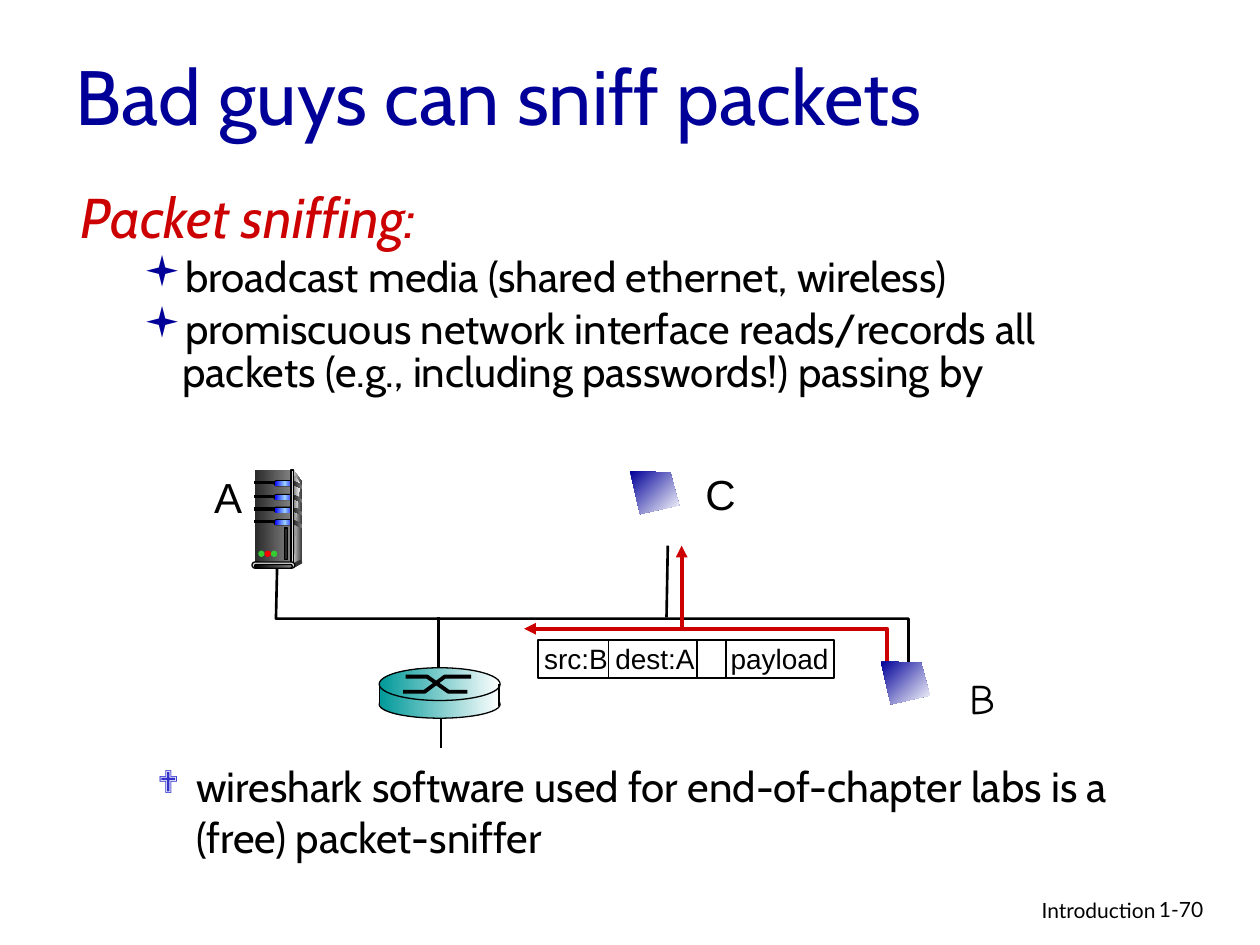
from lxml.etree import SubElement
from pptx import Presentation
from pptx.dml.color import RGBColor
from pptx.enum.shapes import MSO_CONNECTOR, MSO_SHAPE as Preset
from pptx.enum.text import MSO_ANCHOR as Anchor, PP_ALIGN as Align
from pptx.oxml.ns import qn
from pptx.util import Inches, Pt

BLACK = RGBColor(0, 0, 0)
WHITE = RGBColor(0xFF, 0xFF, 0xFF)
NAVY = RGBColor(0x00, 0x00, 0x99)
INDIGO = RGBColor(0x33, 0x33, 0xCC)
RED = RGBColor(0xCC, 0x00, 0x00)
TEAL = RGBColor(0x00, 0x99, 0x99)
BLUE = RGBColor(0x00, 0x00, 0xFF)
SKY = RGBColor(0x99, 0xCC, 0xFF)
LAMP_GREEN = RGBColor(0x33, 0xCC, 0x33)
LAMP_RED = RGBColor(0xFF, 0x00, 0x00)
CHARCOAL = RGBColor(0x29, 0x29, 0x29)
DARK = RGBColor(0x33, 0x33, 0x33)
GRAY = RGBColor(0x80, 0x80, 0x80)
SILVER = RGBColor(0xDD, 0xDD, 0xDD)
PALE = RGBColor(0xF8, 0xF8, 0xF8)

CASING = [CHARCOAL, GRAY]
GLOW = [BLUE, SKY, BLUE]
METAL = [TEAL, WHITE]


class SlideBuilder:
    heading_font = "Cabin"
    label_font = "Arial"
    footer_font = "Lato"

    def __init__(self, slide):
        self.slide = slide
        self.shapes = slide.shapes

    def start_group(self):
        self.shapes = self.slide.shapes.add_group_shape().shapes

    def end_group(self):
        self.shapes = self.slide.shapes

    def paint(self, shape, fill, line, width, angle=0):
        shape.shadow.inherit = False
        if fill is None:
            shape.fill.background()
        elif isinstance(fill, list):
            shape.fill.gradient()
            shape.fill.gradient_angle = angle
            stops = shape._element.spPr.find(qn("a:gradFill")).find(qn("a:gsLst"))
            stops.clear()
            for index, color in enumerate(fill):
                position = index * 100000 // (len(fill) - 1)
                stop = SubElement(stops, qn("a:gs"), pos=str(position))
                SubElement(stop, qn("a:srgbClr"), val=str(color))
        else:
            shape.fill.solid()
            shape.fill.fore_color.rgb = fill
        if line is None:
            shape.line.fill.background()
        else:
            self.stroke(shape, line, width)

    def stroke(self, shape, color, width, arrow=False):
        shape.line.color.rgb = color
        shape.line.width = Pt(width)
        if arrow:
            outline = shape._element.spPr.find(qn("a:ln"))
            SubElement(outline, qn("a:tailEnd"), type="triangle")

    def preset(self, kind, left, top, width, height, fill, line=None, weight=0.75):
        shape = self.shapes.add_shape(
            kind, Inches(left), Inches(top), Inches(width), Inches(height))
        if kind == Preset.ROUNDED_RECTANGLE:
            shape.adjustments[0] = 0.5
        self.paint(shape, fill, line, weight)

    def freeform(self, points, fill=None, line=None, weight=0.75, angle=0, arrow=False):
        corners = [(Inches(x), Inches(y)) for x, y in points]
        builder = self.shapes.build_freeform(*corners[0])
        builder.add_line_segments(corners[1:], close=fill is not None)
        shape = builder.convert_to_shape()
        self.paint(shape, fill, line, weight, angle)
        if arrow:
            self.stroke(shape, line, weight, True)

    def line(self, x1, y1, x2, y2, color=BLACK, weight=1.5, arrow=False):
        connector = self.shapes.add_connector(
            MSO_CONNECTOR.STRAIGHT, Inches(x1), Inches(y1), Inches(x2), Inches(y2))
        self.stroke(connector, color, weight, arrow)
        SubElement(connector._element.spPr, qn("a:effectLst"))

    def text(self, left, top, width, height, text, size, font,
             color=BLACK, align=Align.LEFT, wrap=True, anchor=Anchor.TOP):
        box = self.shapes.add_textbox(
            Inches(left), Inches(top), Inches(width), Inches(height))
        frame = box.text_frame
        frame.word_wrap = wrap
        frame.vertical_anchor = anchor
        frame.text = text
        for paragraph in frame.paragraphs:
            paragraph.alignment = align
            self.format(paragraph, size, font, color)
        return frame

    def format(self, paragraph, size, font, color, italic=False):
        for run in paragraph.runs:
            run.font.size = Pt(size)
            run.font.name = font
            run.font.color.rgb = color
            run.font.italic = italic

    def bullet(self, paragraph, mark, color, percent=100):
        properties = paragraph._p.get_or_add_pPr()
        properties.set("marL", str(Inches(0.81)))
        properties.set("indent", str(Inches(-0.31)))
        holder = SubElement(properties, qn("a:buClr"))
        SubElement(holder, qn("a:srgbClr"), val=str(color))
        SubElement(properties, qn("a:buSzPct"), val=str(percent * 1000))
        SubElement(properties, qn("a:buFont"), typeface="Wingdings")
        SubElement(properties, qn("a:buChar"), char=mark)

    def tab_stop(self, paragraph, position):
        tabs = SubElement(paragraph._p.get_or_add_pPr(), qn("a:tabLst"))
        SubElement(tabs, qn("a:tab"), pos=str(Inches(position)), algn="l")

    def screen(self, left, top):
        outline = [(0, 0), (0.32, 0.01), (0.39, 0.27), (0.08, 0.34)]
        self.freeform([(left + x, top + y) for x, y in outline], [NAVY, WHITE], angle=315)

    def server(self):
        pill, rect, dot = Preset.ROUNDED_RECTANGLE, Preset.RECTANGLE, Preset.OVAL
        self.start_group()
        self.freeform([(2.33, 3.73), (2.4, 3.83), (2.4, 4.45), (2.32, 4.48)], [SILVER, DARK])
        self.preset(rect, 2.02, 3.73, 0.29, 0.74, CASING)
        self.freeform([(2.33, 3.78), (2.35, 3.79), (2.38, 3.84), (2.35, 4.1), (2.33, 4.46)],
                      [GRAY, PALE])
        slots = (3.82, 3.93, 4.03, 4.13)
        for y in slots:
            self.preset(rect, 2.02, y, 0.17, 0.02, BLACK, BLACK)
            self.preset(pill, 2.17, y - 0.01, 0.16, 0.05, BLACK)
            self.preset(pill, 2.18, y, 0.16, 0.04, GLOW)
        self.preset(rect, 2.31, 3.73, 0.02, 0.74, [DARK, SILVER, DARK], BLACK)
        for y in slots:
            self.freeform([(2.33, y), (2.36, y + 0.01), (2.4, y + 0.04),
                           (2.4, y + 0.06), (2.33, y + 0.03)], CASING)
        self.freeform([(2.33, 4.47), (2.33, 4.51), (2.4, 4.47), (2.39, 4.44)], DARK)
        self.preset(pill, 2, 4.46, 0.34, 0.05, SILVER, BLACK)
        self.preset(pill, 2.02, 4.48, 0.3, 0.03, [BLACK, GRAY], BLACK)
        for index, color in enumerate((LAMP_GREEN, LAMP_RED, LAMP_GREEN)):
            self.preset(dot, 2.05 + index * 0.05, 4.37, 0.05, 0.05, color)
        self.preset(rect, 2.26, 4.19, 0.02, 0.25, CHARCOAL, BLACK)
        self.end_group()

    def router(self):
        self.start_group()
        self.preset(Preset.OVAL, 3.01, 5.48, 0.96, 0.22, METAL, BLACK)
        self.preset(Preset.RECTANGLE, 3.01, 5.46, 0.96, 0.14, METAL)
        self.preset(Preset.OVAL, 3.01, 5.3, 0.96, 0.26, METAL, BLACK)
        self.freeform([(3.2, 5.49), (3.37, 5.49), (3.53, 5.37), (3.74, 5.37)], None, BLACK, 2.25)
        self.freeform([(3.22, 5.37), (3.39, 5.37), (3.56, 5.49), (3.71, 5.49)], None, BLACK, 2.25)
        for x in (3.01, 3.96):
            self.line(x, 5.43, x, 5.6, weight=0.75)
        self.end_group()

    def packet(self):
        self.start_group()
        self.preset(Preset.RECTANGLE, 4.27, 5.08, 2.35, 0.3, WHITE, BLACK, 1)
        for x in (4.83, 5.53, 5.76):
            self.line(x, 5.09, x, 5.39, weight=1)
        frame = self.text(4.22, 5.04, 2.48, 0.37, "src:B dest:A\tpayload", 16, self.label_font)
        self.tab_stop(frame.paragraphs[0], 1.48)
        self.end_group()


def main():
    presentation = Presentation()
    presentation.slide_width = Inches(10)
    presentation.slide_height = Inches(7.5)
    builder = SlideBuilder(presentation.slides.add_slide(presentation.slide_layouts[6]))
    heading, label, footer = builder.heading_font, builder.label_font, builder.footer_font

    builder.text(0.5, 0.13, 8.5, 1.25, "Bad guys can sniff packets", 44, heading,
                 NAVY, anchor=Anchor.MIDDLE)
    body = builder.text(
        0.54, 1.48, 8.83, 1.62,
        "Packet sniffing:\n"
        "broadcast media (shared ethernet, wireless)\n"
        "promiscuous network interface reads/records all packets "
        "(e.g., including passwords!) passing by", 24, heading)
    for paragraph in body.paragraphs:
        paragraph.line_spacing = 0.85
    builder.format(body.paragraphs[0], 32, heading, RED, italic=True)
    for paragraph in body.paragraphs[1:]:
        builder.bullet(paragraph, "▪", NAVY)
        paragraph.space_before = Pt(5)

    builder.screen(5, 3.74)
    builder.freeform([(2.2, 4.47), (2.19, 4.91), (7.21, 4.91), (7.21, 5.27)], None, BLACK, 1.5)
    builder.line(5.29, 4.9, 5.3, 4.33)
    builder.line(3.48, 5.31, 3.48, 4.9)
    builder.line(3.5, 5.94, 3.5, 5.68)
    for name, left, top, font in (("A", 1.6, 3.69, label), ("B", 7.59, 5.29, "Comic Neue"),
                                  ("C", 5.5, 3.67, label)):
        builder.text(left, top, 0.42, 0.5, name, 24, font, align=Align.CENTER, wrap=False)
    builder.packet()
    builder.freeform([(7.04, 5.25), (7.04, 4.99), (4.16, 4.99)], None, RED, 2.25, arrow=True)
    builder.line(5.41, 4.99, 5.41, 4.33, RED, 2.25, arrow=True)
    builder.server()
    builder.screen(6.99, 5.25)
    builder.router()

    note = builder.text(
        0.65, 5.99, 8.5, 1,
        "wireshark software used for end-of-chapter labs is a (free) packet-sniffer", 24, heading)
    builder.bullet(note.paragraphs[0], "❖", INDIGO, 75)
    builder.text(6.1, 7.07, 3.17, 0.31, "Introduction", 12, footer, align=Align.RIGHT)
    builder.text(9.1, 7.07, 0.74, 0.3, "1-70", 12, footer)
    presentation.save("out.pptx")


if __name__ == "__main__":
    main()
